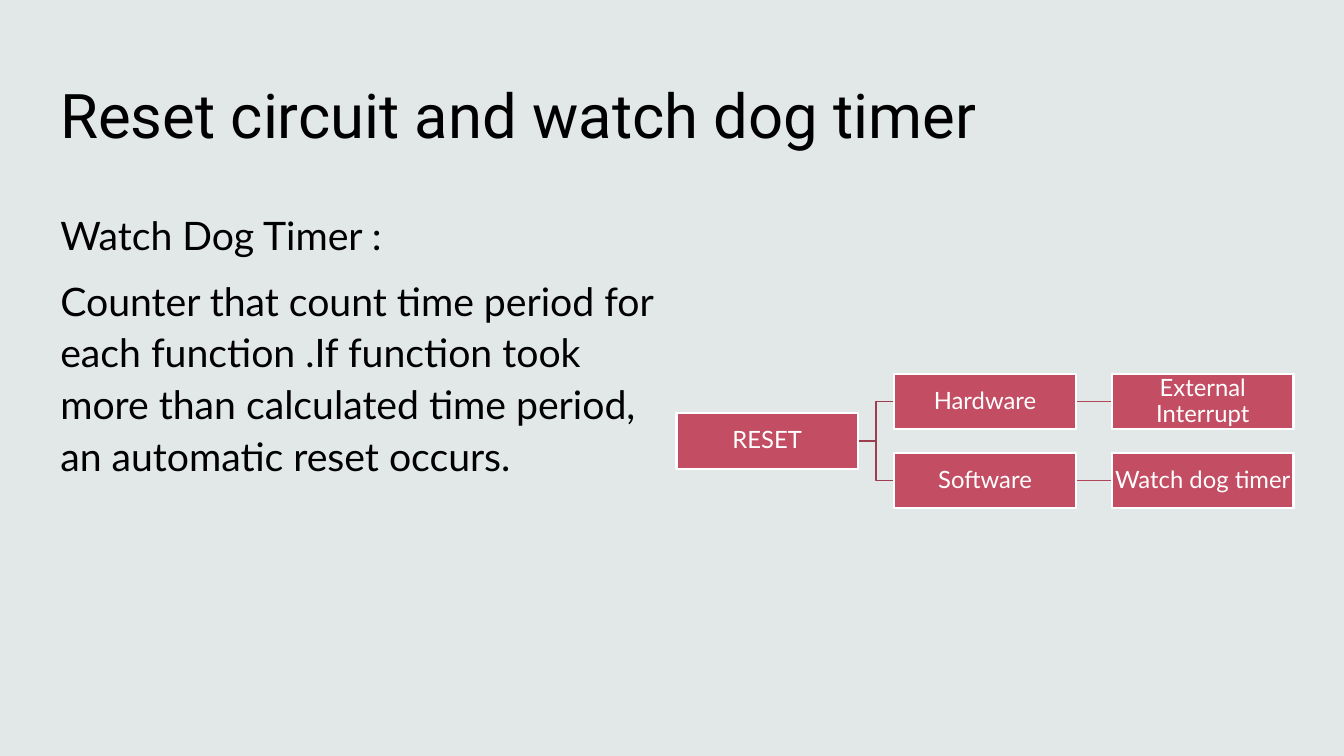
from lxml.etree import SubElement
from pptx import Presentation
from pptx.dml.color import RGBColor
from pptx.enum.shapes import MSO_CONNECTOR, MSO_SHAPE
from pptx.enum.text import MSO_ANCHOR, PP_ALIGN
from pptx.oxml.ns import qn
from pptx.util import Inches, Pt

COLOURS = {
    "background": "E2E8E8",
    "text": "000000",
    "node": "C34D63",
    "white": "FFFFFF",
    "branch": "9C3E4F",
    "link": "B1465A",
}


class SlideBuilder:
    def __init__(self, page):
        self.page = page
        self.heading_font = "Roboto"
        self.body_font = "Lato"
        self.node_size = (Inches(1.8), Inches(0.55))

    def colour(self, name):
        return RGBColor.from_string(COLOURS[name])

    def background(self):
        fill = self.page.background.fill
        fill.solid()
        fill.fore_color.rgb = self.colour("background")

    def style(self, para, font, size, colour):
        para.font.name = font
        para.font.size = Pt(size)
        para.font.color.rgb = self.colour(colour)

    def text_frame(self, left, top, width, height):
        box = self.page.shapes.add_textbox(
            Inches(left), Inches(top), Inches(width), Inches(height))
        box.text_frame.word_wrap = True
        return box.text_frame

    def title(self, text):
        frame = self.text_frame(0.5, 0.4, 11.92, 1.45)
        frame.vertical_anchor = MSO_ANCHOR.MIDDLE
        frame.text = text
        self.style(frame.paragraphs[0], self.heading_font, 44, "text")

    def body(self, lines):
        frame = self.text_frame(0.5, 2, 6.08, 4.76)
        frame.text = "\n".join(lines)
        for para in frame.paragraphs:
            para.line_spacing = 1.1
            para.space_before = Pt(10)
            self.style(para, self.body_font, 28, "text")

    def node(self, text, left, top):
        box = self.page.shapes.add_shape(
            MSO_SHAPE.RECTANGLE, Inches(left), Inches(top), *self.node_size)
        box.shadow.inherit = False
        box.fill.solid()
        box.fill.fore_color.rgb = self.colour("node")
        box.line.color.rgb = self.colour("white")
        box.line.width = Pt(1.5)
        frame = box.text_frame
        frame.word_wrap = True
        frame.vertical_anchor = MSO_ANCHOR.MIDDLE
        frame.margin_left = frame.margin_right = Inches(0.01)
        frame.margin_top = frame.margin_bottom = Inches(0.01)
        frame.text = text
        para = frame.paragraphs[0]
        para.alignment = PP_ALIGN.CENTER
        para.line_spacing = 0.9
        self.style(para, self.body_font, 17, "white")
        return box

    def connect(self, parent, child, kind, colour):
        connector = self.page.shapes.add_connector(
            kind,
            parent.left + parent.width, parent.top + parent.height // 2,
            child.left, child.top + child.height // 2)
        connector.begin_connect(parent, 3)
        connector.end_connect(child, 1)
        connector.line.color.rgb = self.colour(colour)
        connector.line.width = Pt(1)
        element = connector.element
        SubElement(element.spPr, qn("a:effectLst"))
        element.getparent().insert(2, element)


def main():
    deck = Presentation()
    deck.slide_width = Inches(13.33)
    deck.slide_height = Inches(7.5)
    builder = SlideBuilder(deck.slides.add_slide(deck.slide_layouts[6]))

    builder.background()
    builder.title("Reset circuit and watch dog timer")
    builder.body([
        "Watch Dog Timer :",
        "Counter that count time period for each function .If function took "
        "more than calculated time period, an automatic reset occurs.",
    ])

    columns = [6.71 + 2.16 * level for level in range(3)]
    reset = builder.node("RESET", columns[0], 4.1)
    branches = [
        ("Hardware", "External Interrupt", 3.71),
        ("Software", "Watch dog timer", 4.49),
    ]
    for source, trigger, top in branches:
        source_box = builder.node(source, columns[1], top)
        trigger_box = builder.node(trigger, columns[2], top)
        builder.connect(reset, source_box, MSO_CONNECTOR.ELBOW, "branch")
        builder.connect(source_box, trigger_box, MSO_CONNECTOR.STRAIGHT, "link")

    deck.save("out.pptx")


if __name__ == "__main__":
    main()
